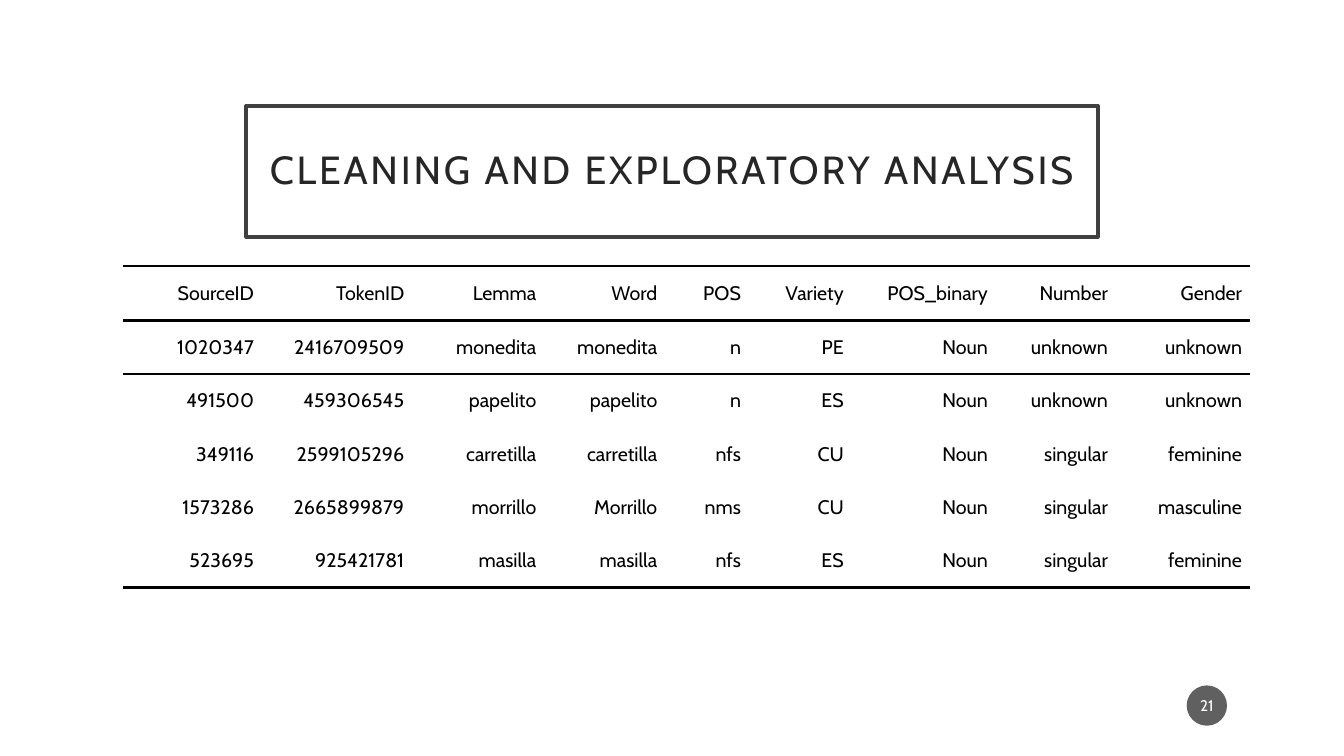
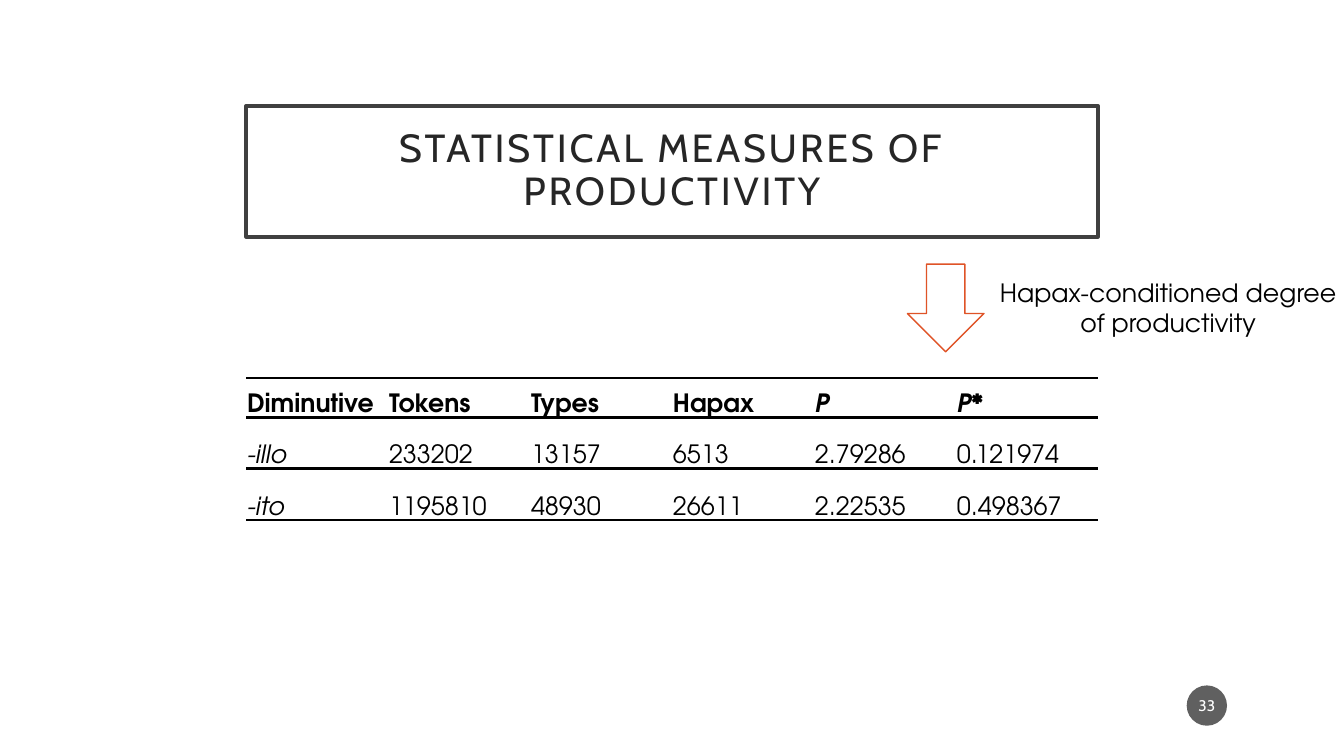
"""Build two slides of framed titles and ruled data tables."""
from dataclasses import dataclass

from lxml.etree import SubElement
from pptx import Presentation
from pptx.dml.color import RGBColor
from pptx.enum.shapes import MSO_SHAPE
from pptx.enum.text import MSO_ANCHOR, MSO_AUTO_SIZE, PP_ALIGN
from pptx.oxml.ns import qn
from pptx.util import Inches, Pt

BLACK = RGBColor(0x00, 0x00, 0x00)
WHITE = RGBColor(0xFF, 0xFF, 0xFF)
FRAME = RGBColor(0x40, 0x40, 0x40)
TITLE_INK = RGBColor(0x26, 0x26, 0x26)
BADGE = RGBColor(0x1D, 0x1D, 0x1D)
ACCENT = RGBColor(0xDF, 0x53, 0x27)
SANS = "Cabin"
GEOMETRIC = "TeX Gyre Adventor"
PLAIN_TABLE = "{2D5ABB26-0587-4C30-8999-92F81FD0307C}"


@dataclass(frozen=True)
class TableLook:
    """Position and styling of a ruled table."""
    left: float
    top: float
    widths: list[float]
    heights: list[float]
    font: str
    size: int
    align: PP_ALIGN
    anchor: MSO_ANCHOR
    margins: tuple[float, float, float, float]
    bold_header: bool = False
    italics: tuple[str, ...] = ()


TOKEN_LOOK = TableLook(
    1.22, 2.64, [1.38, 1.49, 1.31, 1.2, 0.83, 1.02, 1.43, 1.19, 1.33],
    [0.54] + [0.53] * 5, SANS, 14, PP_ALIGN.RIGHT, MSO_ANCHOR.MIDDLE,
    (0.08, 0.04, 0.08, 0.04))
TOKEN_ROWS = [
    ["SourceID", "TokenID", "Lemma", "Word", "POS", "Variety",
     "POS_binary", "Number", "Gender"],
    ["1020347", "2416709509", "monedita", "monedita", "n", "PE",
     "Noun", "unknown", "unknown"],
    ["491500", "459306545", "papelito", "papelito", "n", "ES",
     "Noun", "unknown", "unknown"],
    ["349116", "2599105296", "carretilla", "carretilla", "nfs", "CU",
     "Noun", "singular", "feminine"],
    ["1573286", "2665899879", "morrillo", "Morrillo", "nms", "CU",
     "Noun", "singular", "masculine"],
    ["523695", "925421781", "masilla", "masilla", "nfs", "ES",
     "Noun", "singular", "feminine"],
]
MEASURE_LOOK = TableLook(
    2.44, 3.75, [8.45 / 6] * 6, [0.39, 0.51, 0.51], GEOMETRIC, 18,
    PP_ALIGN.LEFT, MSO_ANCHOR.BOTTOM, (0.01, 0.01, 0.01, 0),
    True, ("P", "P*", "-illo", "-ito"))
MEASURE_ROWS = [
    ["Diminutive", "Tokens", "Types", "Hapax", "P", "P*"],
    ["-illo", "233202", "13157", "6513", "2.79286", "0.121974"],
    ["-ito", "1195810", "48930", "26611", "2.22535", "0.498367"],
]


def set_font(p, name: str, size: int, color: RGBColor) -> None:
    """Format every run of a paragraph."""
    for r in p.runs:
        r.font.name = name
        r.font.size = Pt(size)
        r.font.color.rgb = color


def set_margins(target, margins: tuple[float, float, float, float]) -> None:
    """Set left, top, right and bottom margins of a frame or cell."""
    for side, value in zip(("left", "top", "right", "bottom"), margins):
        setattr(target, f"margin_{side}", Inches(value))


def add_titled_slide(prs, title: str, number: int):
    """Add a slide with the framed title and the round number badge."""
    s = prs.slides.add_slide(prs.slide_layouts[5])
    sp = s.shapes.title
    sp.left, sp.top = Inches(2.44), Inches(1.05)
    sp.width, sp.height = Inches(8.45), Inches(1.3)
    sp.fill.solid()
    sp.fill.fore_color.rgb = WHITE
    sp.line.color.rgb = FRAME
    sp.line.width = Pt(2.5)
    tf = sp.text_frame
    tf.text = title
    tf.word_wrap = True
    tf.auto_size = MSO_AUTO_SIZE.NONE
    tf.vertical_anchor = MSO_ANCHOR.MIDDLE
    set_margins(tf, (0.2, 0.2, 0.2, 0.2))
    p = tf.paragraphs[0]
    p.alignment = PP_ALIGN.CENTER
    p.line_spacing = 0.9
    set_font(p, SANS, 28, TITLE_INK)
    p.runs[0].font._element.set("spc", "200")
    add_badge(s, number)
    return s


def add_badge(s, number: int) -> None:
    """Draw the translucent circle holding the slide number."""
    sp = s.shapes.add_shape(MSO_SHAPE.OVAL, Inches(11.77), Inches(6.8),
                            Inches(0.4), Inches(0.4))
    sp.shadow.inherit = False
    sp.fill.solid()
    sp.fill.fore_color.rgb = BADGE
    color = sp._element.spPr.find(qn("a:solidFill")).find(qn("a:srgbClr"))
    SubElement(color, qn("a:alpha"), val="70000")
    sp.line.fill.background()
    tf = sp.text_frame
    tf.text = str(number)
    tf.vertical_anchor = MSO_ANCHOR.MIDDLE
    set_margins(tf, (0.02, 0.05, 0.02, 0.05))
    p = tf.paragraphs[0]
    p.alignment = PP_ALIGN.CENTER
    set_font(p, SANS, 11, WHITE)


def add_rule(cell, side: str) -> None:
    """Draw a black border on one side of a cell."""
    ln = SubElement(cell._tc.get_or_add_tcPr(), qn(f"a:ln{side}"),
                    w=str(Pt(2.25)))
    fill = SubElement(ln, qn("a:solidFill"))
    SubElement(fill, qn("a:srgbClr"), val=str(BLACK))


def add_ruled_table(s, look: TableLook, rows: list[list[str]]) -> None:
    """Add a table ruled above and below its header and at its foot."""
    frame = s.shapes.add_table(
        len(rows), len(look.widths), Inches(look.left), Inches(look.top),
        Inches(sum(look.widths)), Inches(sum(look.heights)))
    table = frame.table
    table.first_row = table.horz_banding = False
    table._tbl.tblPr.find(qn("a:tableStyleId")).text = PLAIN_TABLE
    for column, width in zip(table.columns, look.widths):
        column.width = Inches(width)
    for i, (row, height) in enumerate(zip(table.rows, look.heights)):
        row.height = Inches(height)
        for cell, text in zip(row.cells, rows[i]):
            cell.text = text
            cell.vertical_anchor = look.anchor
            set_margins(cell, look.margins)
            if i <= 1:
                add_rule(cell, "T")
            if i in (0, len(rows) - 1):
                add_rule(cell, "B")
            cell.fill.background()
            p = cell.text_frame.paragraphs[0]
            p.alignment = look.align
            set_font(p, look.font, look.size, BLACK)
            p.runs[0].font.bold = look.bold_header and i == 0
            p.runs[0].font.italic = text in look.italics


def add_callout(s, text: str) -> None:
    """Add the down arrow and its caption above the last column."""
    sp = s.shapes.add_shape(MSO_SHAPE.DOWN_ARROW, Inches(9), Inches(2.62),
                            Inches(0.76), Inches(0.87))
    sp.shadow.inherit = False
    sp.fill.solid()
    sp.fill.fore_color.rgb = WHITE
    sp.line.color.rgb = ACCENT
    sp.line.width = Pt(1)
    tf = s.shapes.add_textbox(Inches(9.74), Inches(2.7),
                              Inches(3.69), Inches(0.71)).text_frame
    tf.text = text
    tf.word_wrap = True
    tf.auto_size = MSO_AUTO_SIZE.SHAPE_TO_FIT_TEXT
    p = tf.paragraphs[0]
    p.alignment = PP_ALIGN.CENTER
    set_font(p, GEOMETRIC, 18, BLACK)


def main() -> None:
    """Build and save the presentation."""
    prs = Presentation()
    prs.slide_width, prs.slide_height = Inches(13.33), Inches(7.5)
    s = add_titled_slide(prs, "CLEANING AND EXPLORATORY ANALYSIS", 21)
    add_ruled_table(s, TOKEN_LOOK, TOKEN_ROWS)
    s = add_titled_slide(prs, "STATISTICAL MEASURES OF PRODUCTIVITY", 33)
    add_ruled_table(s, MEASURE_LOOK, MEASURE_ROWS)
    add_callout(s, "Hapax-conditioned degree of productivity")
    prs.save("out.pptx")


if __name__ == "__main__":
    main()
